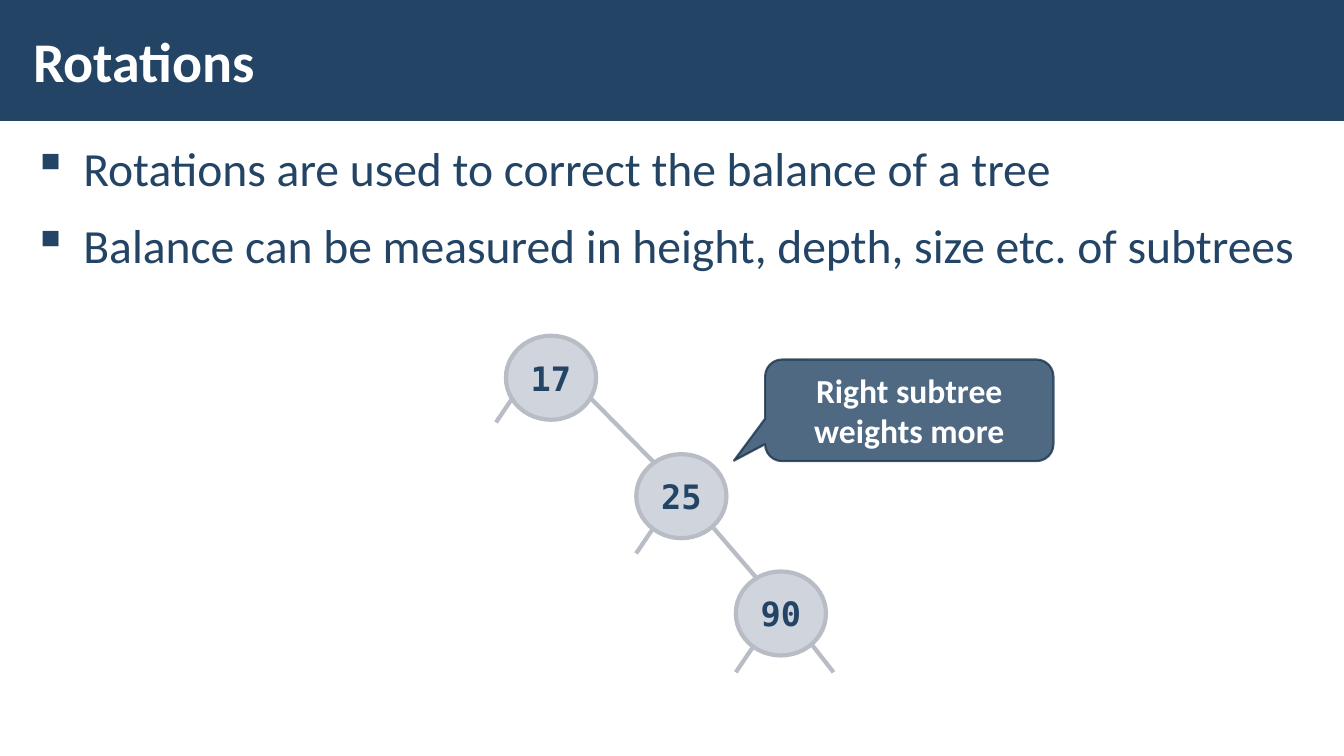
from lxml import etree
from pptx import Presentation
from pptx.dml.color import RGBColor
from pptx.enum import shapes, text
from pptx.oxml.ns import qn
from pptx.util import Pt

NAVY, WHITE, GREY = "234465", "FFFFFF", "B8BCC4"


def paint(fill, colour, opacity=100):
    """Make a fill solid in a hex colour, with opacity in percent."""
    fill.solid()
    fill.fore_color.rgb = RGBColor.from_string(colour)
    if opacity < 100:
        colour_xml = fill._xPr.find(qn("a:solidFill"))[0]
        etree.SubElement(colour_xml, qn("a:alpha")).set("val", str(opacity * 1000))


def write(shape, lines, size, colour, font="Calibri", bold=True, align=None,
          anchor=text.MSO_ANCHOR.MIDDLE):
    frame = shape.text_frame
    frame.word_wrap = True
    frame.vertical_anchor = anchor
    frame.text = lines
    for paragraph in frame.paragraphs:
        paragraph.alignment = align
        for run in paragraph.runs:
            run.font.size, run.font.name, run.font.bold = Pt(size), font, bold
            paint(run.font.fill, colour)


deck = Presentation()
deck.slide_width, deck.slide_height = Pt(960), Pt(540)
slide = deck.slides.add_slide(deck.slide_layouts[6])
items = slide.shapes

# Header band and title
band = items.add_shape(shapes.MSO_SHAPE.RECTANGLE, 0, 0, deck.slide_width, Pt(86.4))
band.shadow.inherit = False
paint(band.fill, NAVY)
band.line.fill.background()

title = items.add_textbox(Pt(15), Pt(8), Pt(749), Pt(70))
write(title, "Rotations", 40, WHITE)

# Bulleted statements
statements = items.add_textbox(Pt(15), Pt(94.3), Pt(930), Pt(410))
write(statements,
      "Rotations are used to correct the balance of a tree\n"
      "Balance can be measured in height, depth, size etc. of subtrees",
      34, NAVY, bold=False, anchor=text.MSO_ANCHOR.TOP)
for box in (title, statements):
    frame = box.text_frame
    frame.margin_left = frame.margin_right = Pt(8.6)
    frame.margin_top = frame.margin_bottom = Pt(2.9)
for position, statement in enumerate(statements.text_frame.paragraphs):
    statement.line_spacing = 1.05
    statement.space_before = Pt(12 * position)
    properties = statement._p.get_or_add_pPr()
    properties.set("marL", str(Pt(36)))
    properties.set("indent", str(Pt(-36)))
    etree.SubElement(properties, qn("a:buChar")).set("char", "▪")

# Tree: edges between nodes, then nodes, then stubs of the open subtrees
edges = [(509.8, 377.3, 541.4, 414), (421.9, 284.4, 468, 331.2)]
left_stubs = [(x, y, x - 12.2, y + 18)
              for x, y in [(537.8, 462.2), (366.5, 283.7), (466.6, 377.3)]]
right_stub = (579.6, 460.1, 595.4, 480.2)


def draw_branches(branches):
    for branch in branches:
        line = items.add_connector(shapes.MSO_CONNECTOR.STRAIGHT, *map(Pt, branch))
        line.line.width = Pt(3)
        paint(line.line.fill, GREY)
        etree.SubElement(line._element.spPr, qn("a:effectLst"))


draw_branches(edges)
for key, left, top in [("17", 361.4, 239.8), ("25", 454.5, 324.4), ("90", 525.6, 408.2)]:
    node = items.add_shape(shapes.MSO_SHAPE.OVAL, Pt(left), Pt(top), Pt(64.4), Pt(60))
    node.shadow.inherit = False
    paint(node.fill, "A1AABC", 50)
    paint(node.line.fill, GREY)
    node.line.width = Pt(3)
    write(node, key, 24, NAVY, "DejaVu Sans Mono", align=text.PP_ALIGN.CENTER)
draw_branches(left_stubs + [right_stub])

# Remark on the heavy side
remark = items.add_shape(shapes.MSO_SHAPE.ROUNDED_RECTANGULAR_CALLOUT,
                         Pt(546.5), Pt(256.8), Pt(206), Pt(72.6))
for index, value in enumerate((-0.608, 0.495, 0.167)):
    remark.adjustments[index] = value
remark.shadow.inherit = False
paint(remark.fill, NAVY, 80)
paint(remark.line.fill, "1A334B", 80)
remark.line.width = Pt(1.5)
write(remark, "Right subtree weights more", 24, WHITE, align=text.PP_ALIGN.CENTER)

deck.save("out.pptx")
